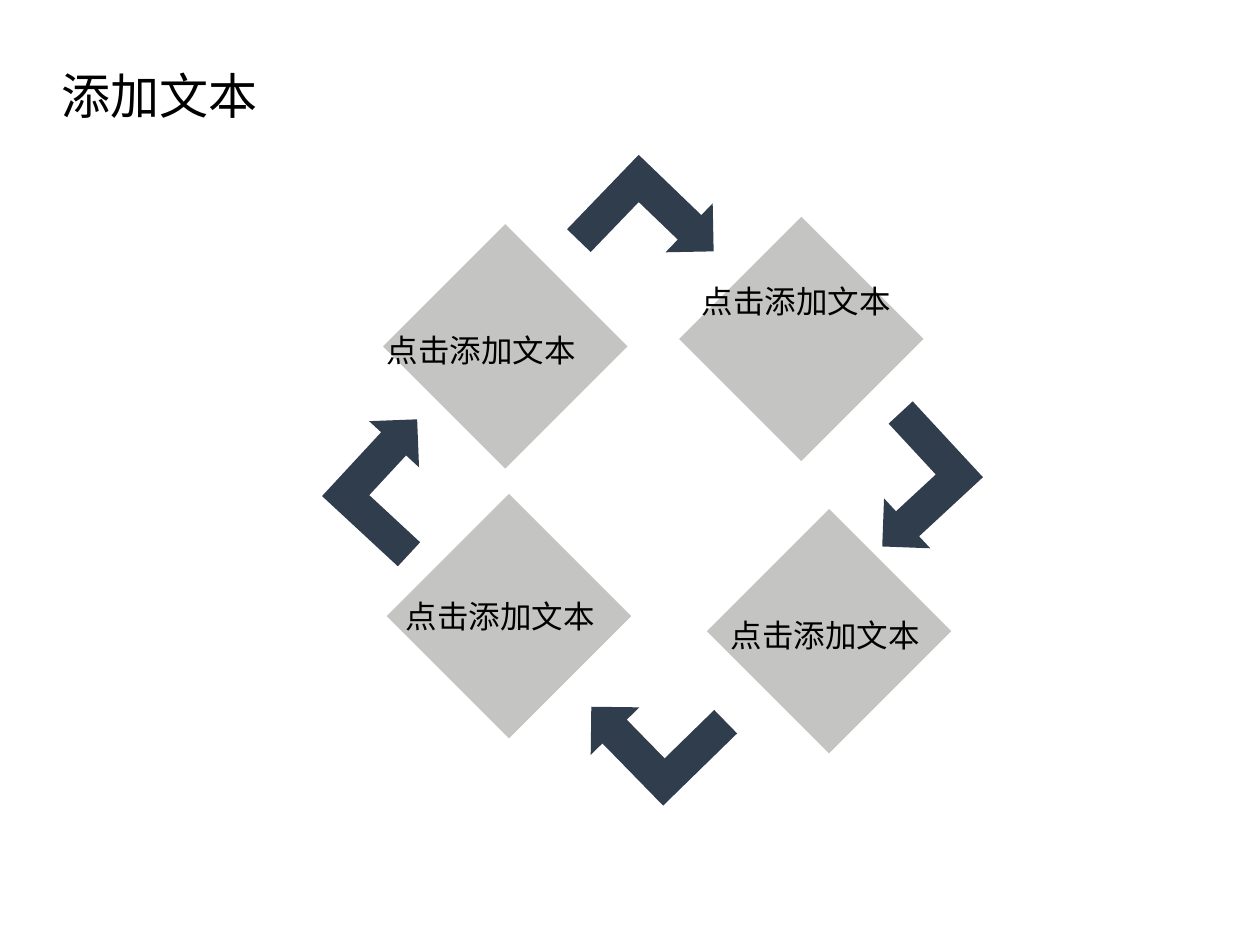
from pptx import Presentation
from pptx.dml.color import RGBColor
from pptx.enum.shapes import MSO_SHAPE
from pptx.enum.text import MSO_ANCHOR, MSO_AUTO_SIZE, PP_ALIGN
from pptx.oxml.ns import qn
from pptx.util import Inches, Pt
from lxml import etree

GREY = RGBColor(0xC4, 0xC4, 0xC2)
NAVY = RGBColor(0x30, 0x3D, 0x4D)
BLACK = RGBColor(0, 0, 0)
FONT = "Noto Sans CJK SC"

# Content: diamond corner, label corner, label text
TITLE = "添加文本"
STEPS = [
    ((3.04, 1.78), (2.97, 2.58), "点击添加文本"),
    ((5.39, 1.72), (5.47, 2.19), "点击添加文本"),
    ((5.61, 4.04), (5.70, 4.84), "点击添加文本"),
    ((3.07, 3.92), (3.12, 4.69), "点击添加文本"),
]
DIAMOND_SIZE = 1.94
LABEL_SIZE = (1.72, 0.40)

# Bent arrow outline before turning, then each arrow's corner and angle
ARROW = [(0.27, 0), (0.54, 0.27), (0.40, 0.27), (0.40, 0.70), (0.95, 0.70),
         (0.95, 0.96), (0.13, 0.96), (0.13, 0.27), (0, 0.27)]
ARROW_PLACES = [((4.70, 1.33), 133.9), ((6.74, 3.38), 227.2),
                ((4.70, 5.33), 315.7), ((2.66, 3.34), 42.8)]


def paint(shape, color):
    shape.shadow.inherit = False
    shape.fill.solid()
    shape.fill.fore_color.rgb = color
    shape.line.fill.background()


def write(shape, text, size):
    frame = shape.text_frame
    frame.text = text
    frame.word_wrap = False
    frame.auto_size = MSO_AUTO_SIZE.SHAPE_TO_FIT_TEXT
    frame.vertical_anchor = MSO_ANCHOR.TOP
    paragraph = frame.paragraphs[0]
    paragraph.alignment = PP_ALIGN.LEFT
    font = paragraph.runs[0].font
    font.size, font.name, font.color.rgb = Pt(size), FONT, BLACK
    # East Asian typeface
    east_asian = etree.SubElement(paragraph.runs[0].font._element, qn("a:ea"))
    east_asian.set("typeface", FONT)


prs = Presentation()
prs.slide_width, prs.slide_height = Inches(10), Inches(7.5)
slide = prs.slides.add_slide(prs.slide_layouts[5])
shapes = slide.shapes

# Title
title = shapes.title
title.left, title.top = Inches(0.39), Inches(0.47)
title.width, title.height = Inches(1.77), Inches(0.57)
write(title, TITLE, 28)

# Diamonds
for (x, y), _, _ in STEPS:
    diamond = shapes.add_shape(MSO_SHAPE.DIAMOND, Inches(x), Inches(y),
                               Inches(DIAMOND_SIZE), Inches(DIAMOND_SIZE))
    paint(diamond, GREY)

# Arrows around the cycle
for (left, top), angle in ARROW_PLACES:
    points = [(Inches(left + x), Inches(top + y)) for x, y in ARROW]
    builder = shapes.build_freeform(*points[0])
    builder.add_line_segments(points[1:], close=True)
    arrow = builder.convert_to_shape()
    arrow.rotation = angle
    paint(arrow, NAVY)

# Labels
for _, corner, text in STEPS:
    label = shapes.add_textbox(*map(Inches, corner + LABEL_SIZE))
    write(label, text, 18)

prs.save("out.pptx")
